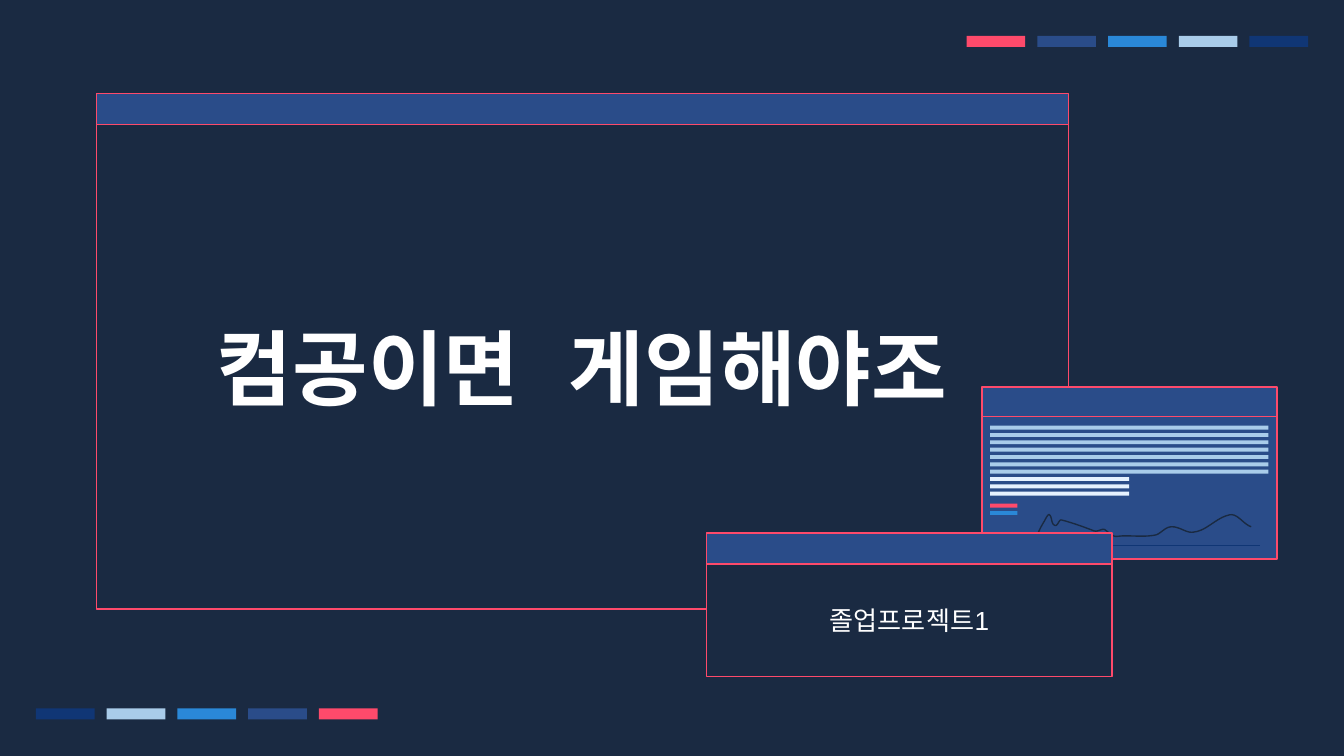
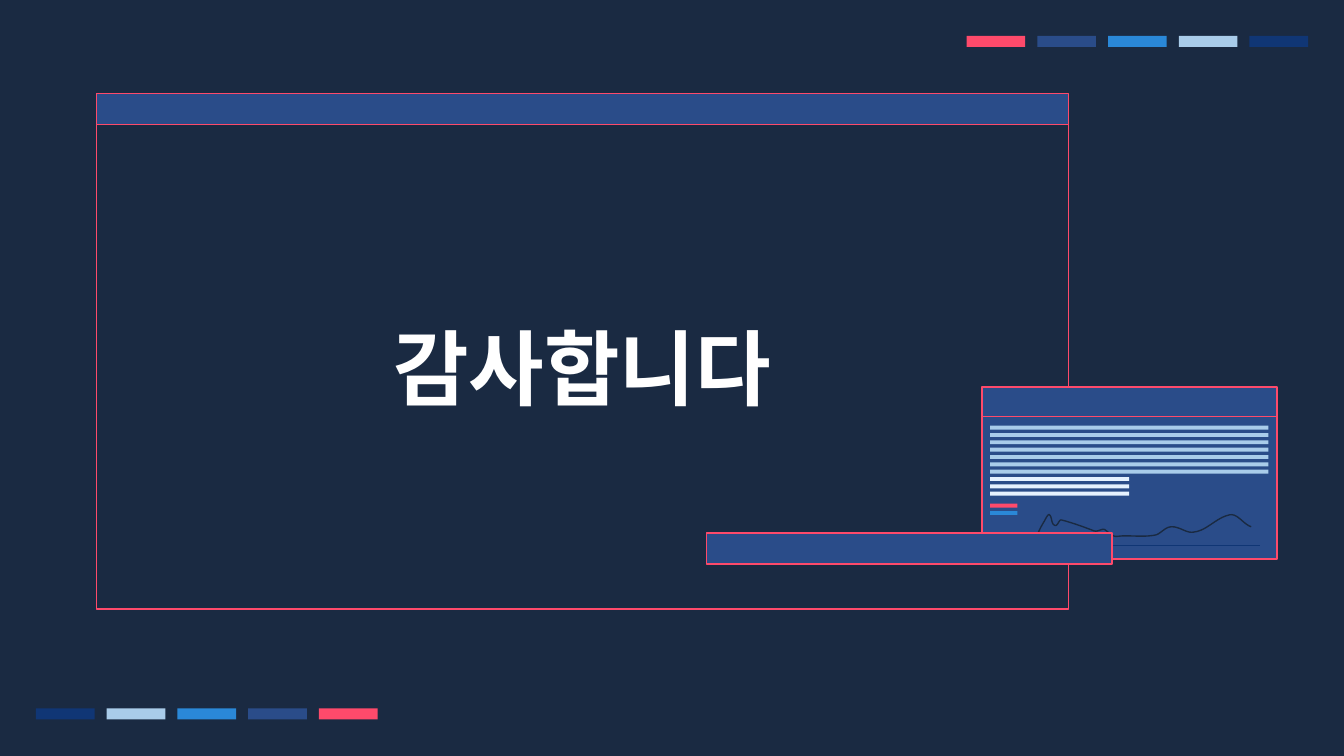
"""Builds the opening and closing slides of a graduation project deck."""
from pptx import Presentation
from pptx.dml.color import RGBColor
from pptx.enum.shapes import MSO_CONNECTOR, MSO_SHAPE
from pptx.enum.text import MSO_ANCHOR as Anchor, PP_ALIGN as Align
from pptx.oxml.ns import qn
from pptx.util import Pt
from lxml.etree import SubElement

NAVY = RGBColor(0x1A, 0x2A, 0x42)
CORAL = RGBColor(0xFE, 0x4A, 0x6B)
BLUE = RGBColor(0x2A, 0x4C, 0x89)
AZURE = RGBColor(0x2A, 0x88, 0xD8)
SKY = RGBColor(0xA9, 0xCC, 0xEA)
DEEP = RGBColor(0x10, 0x36, 0x75)
ICE = RGBColor(0xE5, 0xF1, 0xFF)
WHITE = RGBColor(0xFF, 0xFF, 0xFF)

SLIDES = [
    {"title": "컴공이면 게임해야조", "subtitle": "졸업프로젝트1"},
    {"title": "감사합니다", "subtitle": None},
]
TITLE_STYLE = ("DejaVu Sans Mono", 44, True)
SUBTITLE_STYLE = ("Arial", 14, False)

BAR_HEIGHT = 16.6
TITLE_FRAME = (51.7, 66.8, 520.6, 259.4)
SUBTITLE_FRAME = (378.5, 302.1, 217.3, 60.4)

DASH_COLORS = [CORAL, BLUE, AZURE, SKY, DEEP]
DASH_ROWS = [(517.8, 19.3, DASH_COLORS), (19.3, 379.6, DASH_COLORS[::-1])]
DASH_PITCH, DASH_WIDTH, DASH_HEIGHT = 37.9, 31.4, 5.9

PANEL = (526, 207.3, 158.2, 92.3)
STRIPE_LEFT, STRIPE_PITCH, STRIPE_HEIGHT = 530.4, 3.93, 2.1
STRIPE_BLOCKS = [
    (228.1, 149.2, [SKY] * 7),
    (255.6, 74.5, [ICE] * 3),
    (269.9, 14.7, [CORAL, AZURE]),
]
RULES = [(552.3, 674.8, 292.1, DEEP), (526, 684.2, 223.1, CORAL)]
CURVE_START = (555.1, 288)
CURVES = [
    ((556.6, 284.4), (558, 281.5), (559.4, 279.4)),
    ((560.2, 277.9), (561.6, 275), (562.3, 275.8)),
    ((563.8, 277.2), (563, 280.8), (565.2, 281.5)),
    ((566.6, 282.2), (567.4, 277.9), (568.8, 278.6)),
    ((574.6, 280.1), (580.3, 282.2), (586.1, 284.4)),
    ((588.2, 285.1), (590.4, 283), (591.8, 283.7)),
    ((594, 285.1), (596.2, 288), (599, 287.3)),
    ((605.5, 286.6), (612.7, 288), (619.2, 286.6)),
    ((622.1, 285.8), (624.2, 282.2), (627.8, 282.2)),
    ((632.2, 282.2), (635.8, 285.8), (639.4, 285.1)),
    ((646.6, 284.4), (651.6, 277.2), (658.8, 275.8)),
    ((663.1, 275), (666, 280.8), (670.3, 282.2)),
]
CURVE_STEPS = 10


def set_line(shape, color):
    shape.line.color.rgb = color
    shape.line.width = Pt(0.75)


def add_box(shapes, frame, fill, outline=None):
    box = shapes.add_shape(MSO_SHAPE.RECTANGLE, *map(Pt, frame))
    box.shadow.inherit = False
    box.fill.solid()
    box.fill.fore_color.rgb = fill
    if outline is None:
        box.line.fill.background()
    else:
        set_line(box, outline)
    return box


def add_bar(shapes, frame):
    left, top, width, _ = frame
    add_box(shapes, (left, top - BAR_HEIGHT, width, BAR_HEIGHT), BLUE, CORAL)


def add_text_box(shapes, frame, text, style):
    font_name, size, bold = style
    text_frame = add_box(shapes, frame, NAVY, CORAL).text_frame
    text_frame.text = text
    text_frame.word_wrap = True
    text_frame.vertical_anchor = Anchor.MIDDLE
    text_frame.margin_left = text_frame.margin_right = Pt(7.2)
    text_frame.margin_top = text_frame.margin_bottom = Pt(7.2)
    para = text_frame.paragraphs[0]
    para.alignment = Align.CENTER
    font = para.runs[0].font
    font.name, font.size, font.bold = font_name, Pt(size), bold
    font.color.rgb = WHITE
    SubElement(para.runs[0]._r.rPr, qn("a:ea")).set("typeface", font_name)


def add_rule(shapes, start, end, height, color):
    rule = shapes.add_connector(
        MSO_CONNECTOR.STRAIGHT, Pt(start), Pt(height), Pt(end), Pt(height))
    set_line(rule, color)
    SubElement(rule._element.spPr, qn("a:effectLst"))


def curve_points():
    points, start = [], CURVE_START
    for first, second, end in CURVES:
        for step in range(1, CURVE_STEPS + 1):
            t = step / CURVE_STEPS
            weights = ((1 - t) ** 3, 3 * t * (1 - t) ** 2, 3 * t * t * (1 - t), t ** 3)
            points.append(tuple(
                Pt(sum(weight * value for weight, value in zip(weights, axis)))
                for axis in zip(start, first, second, end)))
        start = end
    return points


def add_curve(shapes):
    builder = shapes.build_freeform(*map(Pt, CURVE_START))
    builder.add_line_segments(curve_points(), close=False)
    curve = builder.convert_to_shape()
    curve.shadow.inherit = False
    curve.fill.background()
    set_line(curve, NAVY)


def add_dashes(page):
    for left, top, colors in DASH_ROWS:
        shapes = page.shapes.add_group_shape().shapes
        for index, color in enumerate(colors):
            add_box(shapes, (left + index * DASH_PITCH, top, DASH_WIDTH, DASH_HEIGHT), color)


def add_panel(page):
    shapes = page.shapes.add_group_shape().shapes
    add_box(shapes, PANEL, BLUE, CORAL)
    add_curve(shapes)
    for rule in RULES:
        add_rule(shapes, *rule)
    for top, width, colors in STRIPE_BLOCKS:
        for index, color in enumerate(colors):
            frame = (STRIPE_LEFT, top + index * STRIPE_PITCH, width, STRIPE_HEIGHT)
            add_box(shapes, frame, color)


def add_page(deck, title, subtitle):
    page = deck.slides.add_slide(deck.slide_layouts[6])
    page.background.fill.solid()
    page.background.fill.fore_color.rgb = NAVY
    add_dashes(page)
    add_text_box(page.shapes, TITLE_FRAME, title, TITLE_STYLE)
    add_panel(page)
    if subtitle:
        add_text_box(page.shapes, SUBTITLE_FRAME, subtitle, SUBTITLE_STYLE)
    for frame in (SUBTITLE_FRAME, TITLE_FRAME):
        add_bar(page.shapes, frame)


def main():
    deck = Presentation()
    deck.slide_width, deck.slide_height = Pt(720), Pt(405)
    for content in SLIDES:
        add_page(deck, **content)
    deck.save("out.pptx")


if __name__ == "__main__":
    main()
